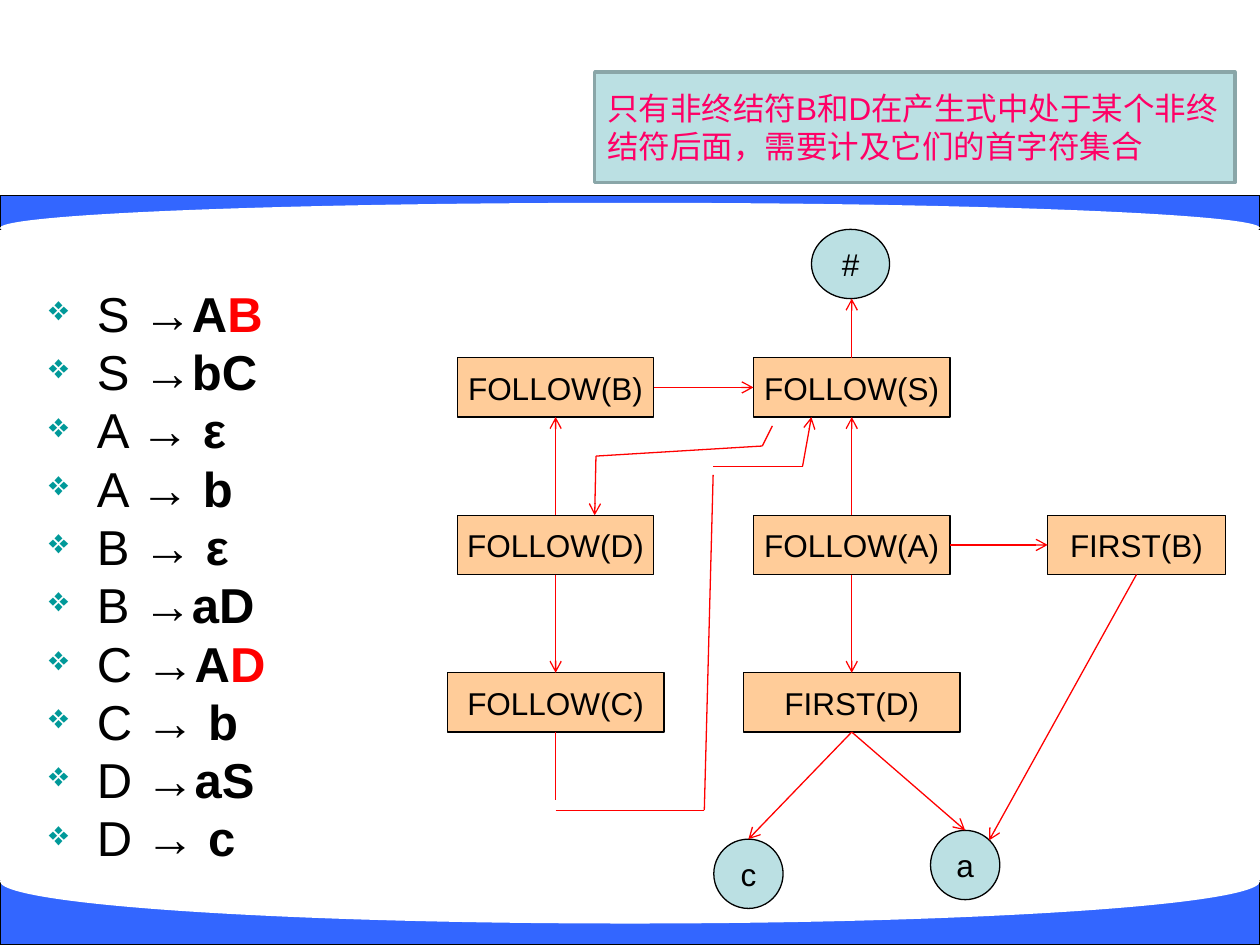
from lxml import etree
from pptx import Presentation
from pptx.dml.color import RGBColor
from pptx.enum.shapes import MSO_CONNECTOR, MSO_SHAPE
from pptx.enum.text import MSO_ANCHOR, PP_ALIGN
from pptx.oxml.ns import qn
from pptx.util import Inches, Pt

RECT, OVAL = MSO_SHAPE.RECTANGLE, MSO_SHAPE.OVAL
LINE = MSO_CONNECTOR.STRAIGHT
MID, LEFT, MIDDLE = MSO_ANCHOR.MIDDLE, PP_ALIGN.LEFT, PP_ALIGN.CENTER
TOP, WEST, BASE, EAST = range(4)
COLORS = {
    key: RGBColor.from_string(code)
    for key, code in {
        "blue": "3366FF", "white": "FFFFFF", "black": "000000", "red": "FF0000",
        "aqua": "BBE0E3", "edge": "8AA6A8", "pink": "FF0066", "peach": "FFCC99",
    }.items()
}

deck = Presentation()
deck.slide_width, deck.slide_height = Inches(10), Inches(7.5)
slide = deck.slides.add_slide(deck.slide_layouts[6])


def add_box(kind, spot, fill, edge="black", width=0.75, text="", ink="black",
            align=MIDDLE, wrap=False):
    """Add a filled shape; spot is left, top, width, height in inches."""
    box = slide.shapes.add_shape(kind, *map(Inches, spot))
    box.shadow.inherit = False
    box.fill.solid()
    box.fill.fore_color.rgb = COLORS[fill]
    if edge:
        box.line.color.rgb = COLORS[edge]
        box.line.width = Pt(width)
    else:
        box.line.fill.background()
    if text:
        frame = box.text_frame
        frame.word_wrap, frame.vertical_anchor = wrap, MID
        para = frame.paragraphs[0]
        para.alignment = align
        run = para.add_run()
        run.text = text
        for name, value in {"name": "Arial", "size": Pt(18)}.items():
            setattr(run.font, name, value)
        run.font.color.rgb = COLORS[ink]
    return box


def add_line(start, end, head=True):
    """Add a red line between two points, with an arrowhead at the end."""
    line = slide.shapes.add_connector(LINE, *map(Inches, (*start, *end)))
    line.line.color.rgb = COLORS["red"]
    line.line.width = Pt(0.75)
    if head:
        etree.SubElement(line.line._get_or_add_ln(), qn("a:tailEnd"), type="arrow")
    etree.SubElement(line._element.spPr, qn("a:effectLst"))
    return line


# Curved blue bands
for band, curve in (
    ((0, 1.55, 10, 0.27), (0, 1.61, 10, 0.4)),
    ((0, 6.99, 10, 0.51), (0, 6.66, 10, 0.67)),
):
    add_box(RECT, band, "blue")
    add_box(OVAL, curve, "white", None)

# Grammar rules: left side, bold part, red part
rules = [
    ("S ", "→A", "B"), ("S ", "→bC", ""), ("A ", "→ ε", ""), ("A ", "→ b", ""),
    ("B ", "→ ε", ""), ("B ", "→aD", ""), ("C ", "→A", "D"), ("C ", "→ b", ""),
    ("D ", "→aS", ""), ("D ", "→ c", ""),
]
frame = slide.shapes.add_textbox(*map(Inches, (0.29, 2.29, 2.19, 4.69))).text_frame
frame.word_wrap = True
for row, rule in enumerate(rules):
    para = frame.add_paragraph() if row else frame.paragraphs[0]
    para.line_spacing = 0.8
    para.space_before = Pt(6.4 if row else 0)
    props = para._p.get_or_add_pPr()
    props.set("marL", str(Inches(0.38)))
    props.set("indent", str(-Inches(0.38)))
    tint = etree.SubElement(props, qn("a:buClr"))
    etree.SubElement(tint, qn("a:srgbClr"), val="009999")
    etree.SubElement(props, qn("a:buSzPct"), val="70000")
    etree.SubElement(props, qn("a:buChar"), char="❖")
    for text, bold, ink in zip(rule, (False, True, True), ("black", "black", "red")):
        if text:
            run = para.add_run()
            run.text = text
            for name, value in {"name": "Arial", "size": Pt(28), "bold": bold}.items():
                setattr(run.font, name, value)
            run.font.color.rgb = COLORS[ink]

add_box(RECT, (4.72, 0.57, 5.08, 0.88), "aqua", "edge", 2,
        "只有非终结符B和D在产生式中处于某个非终结符后面，需要计及它们的首字符集合",
        "pink", LEFT, True)

# Graph nodes: centre x, top, width
nodes = {}
for text, mid, top, wide, high in (
    ("#", 6.75, 1.82, 0.62, 0.55),
    ("c", 5.94, 6.66, 0.55, 0.55),
    ("a", 7.66, 6.59, 0.55, 0.55),
):
    nodes[text] = add_box(OVAL, (mid - wide / 2, top, wide, high), "aqua", text=text)

COLS, ROWS = (4.41, 6.76, 9.02), (2.84, 4.09, 5.34)
for text, col, row, wide in (
    ("FOLLOW(S)", 1, 0, 1.56), ("FIRST(B)", 2, 1, 1.41), ("FIRST(D)", 1, 2, 1.72),
    ("FOLLOW(A)", 1, 1, 1.56), ("FOLLOW(C)", 0, 2, 1.72),
    ("FOLLOW(B)", 0, 0, 1.56), ("FOLLOW(D)", 0, 1, 1.56),
):
    spot = (COLS[col] - wide / 2, ROWS[row], wide, 0.47)
    nodes[text] = add_box(RECT, spot, "peach", text=text)

# Arrows joined at both ends
for start, side, end, port in (
    ("FOLLOW(B)", EAST, "FOLLOW(S)", WEST),
    ("FOLLOW(D)", TOP, "FOLLOW(B)", BASE),
    ("FOLLOW(D)", BASE, "FOLLOW(C)", TOP),
    ("FOLLOW(A)", BASE, "FIRST(D)", TOP),
    ("FIRST(D)", BASE, "c", TOP),
    ("FIRST(D)", BASE, "a", TOP),
    ("FOLLOW(A)", EAST, "FIRST(B)", WEST),
    ("FOLLOW(A)", TOP, "FOLLOW(S)", BASE),
):
    line = add_line((0, 0), (0, 0))
    line.begin_connect(nodes[start], side)
    line.end_connect(nodes[end], port)

# Lines joined only where they leave a node
for start, side, end, head in (
    ("FOLLOW(S)", TOP, (6.76, 2.37), True),
    ("FOLLOW(C)", BASE, (4.41, 6.35), False),
    ("FIRST(B)", BASE, (7.85, 6.67), True),
):
    add_line(end, end, head).begin_connect(nodes[start], side)

# Bent routes: C to S, and S to D; the last stretch has the arrowhead
for route in (
    [((4.41, 6.43), (5.59, 6.43)), ((5.59, 6.43), (5.66, 3.77)),
     ((5.66, 3.7), (6.37, 3.7)), ((6.37, 3.7), (6.44, 3.31))],
    [((6.13, 3.38), (6.05, 3.54)), ((6.05, 3.54), (4.73, 3.62)),
     ((4.73, 3.62), (4.72, 4.09))],
):
    for start, end in route:
        add_line(start, end, (start, end) == route[-1])

deck.save("out.pptx")
